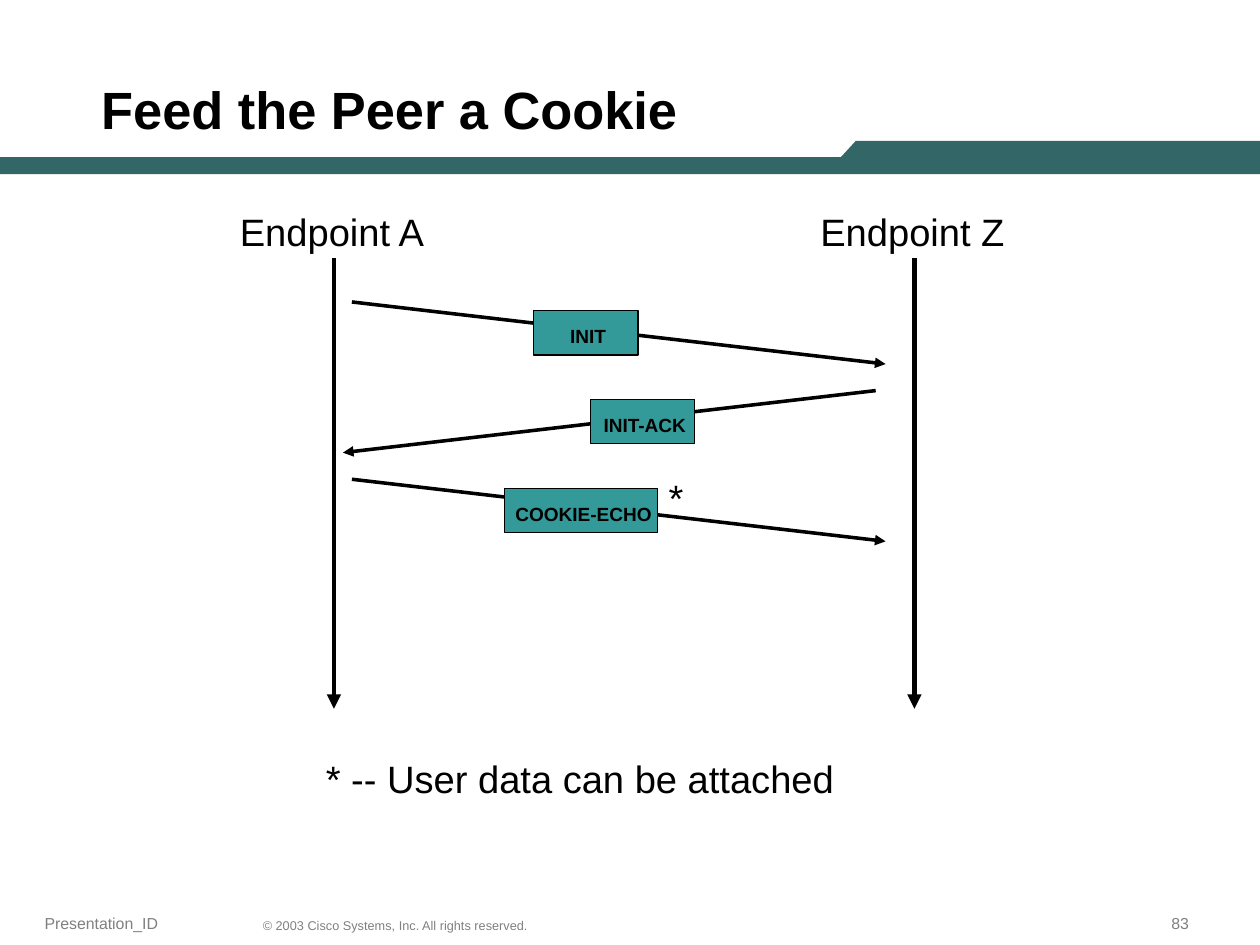
from lxml.etree import SubElement
from pptx import Presentation
from pptx.dml.color import RGBColor
from pptx.enum.shapes import MSO_CONNECTOR as CONNECTOR, MSO_SHAPE as SHAPE
from pptx.enum.text import MSO_ANCHOR as ANCHOR, PP_ALIGN as ALIGN
from pptx.oxml.ns import qn
from pptx.util import Cm, Pt

WIDTH, HEIGHT = 28, 21
BLACK, GREY, BAND, PACKET = "000000", "808080", "336666", "339999"
A_X, Z_X = 7.42, 20.32
FIRST_MESSAGE, MESSAGE_STEP, MESSAGE_DROP = 6.71, 1.97, 1.38
# label, left and width of the packet, whether it goes from A to Z
MESSAGES = [
    ("INIT", 11.86, 2.32, True),
    ("INIT-ACK", 13.12, 2.32, False),
    ("COOKIE-ECHO", 11.22, 3.4, True),
]


def rgb(value):
    return RGBColor.from_string(value)


def format_text(frame, text, size=24, color=BLACK, bold=False, anchor=ANCHOR.TOP,
                align=ALIGN.LEFT, spacing=0.98, insets=(0.25, 0.13, 0.25, 0.13)):
    """Fill a text frame; insets run left, top, right, bottom in cm."""
    frame.word_wrap = True
    frame.vertical_anchor = anchor
    (frame.margin_left, frame.margin_top,
     frame.margin_right, frame.margin_bottom) = map(Cm, insets)
    line = frame.paragraphs[0]
    line.text = text
    line.alignment = align
    line.line_spacing = spacing
    font = line.runs[0].font
    font.name, font.size, font.bold = "Arial", Pt(size), bold
    font.color.rgb = rgb(color)


def add_text(slide, text, left, top, width, height, **style):
    box = slide.shapes.add_textbox(Cm(left), Cm(top), Cm(width), Cm(height))
    format_text(box.text_frame, text, **style)


def add_arrow(slide, x1, y1, x2, y2, weight):
    arrow = slide.shapes.add_connector(
        CONNECTOR.STRAIGHT, Cm(x1), Cm(y1), Cm(x2), Cm(y2))
    arrow.line.color.rgb = rgb(BLACK)
    arrow.line.width = Pt(weight)
    SubElement(arrow.line._get_or_add_ln(), qn("a:tailEnd"), type="triangle")
    SubElement(arrow._element.spPr, qn("a:effectLst"))


def add_header(slide, top, bottom):
    """Title above a band whose right part steps up."""
    low = top + 0.36
    builder = slide.shapes.build_freeform(0, Cm(bottom))
    builder.add_line_segments([
        (Cm(x), Cm(y)) for x, y in
        [(0, low), (18.69, low), (19.02, top), (WIDTH, top), (WIDTH, bottom)]])
    band = builder.convert_to_shape()
    band.shadow.inherit = False
    band.fill.solid()
    band.fill.fore_color.rgb = rgb(BAND)
    band.line.fill.background()
    add_text(slide, "Feed the Peer a Cookie", 2, top - 2.44, 24.94, 2.56,
             size=33, bold=True, anchor=ANCHOR.BOTTOM, spacing=0.9)


def add_endpoint(slide, name, x, top, bottom):
    add_text(slide, name, x - 2.34, top, 5, 1.27)
    add_arrow(slide, x, top + 1.19, x, bottom, 3)


def add_message(slide, label, left, width, forward, top):
    """Slanted arrow between the endpoints with its packet on it."""
    start, end = (A_X + 0.4, Z_X - 0.64) if forward else (Z_X - 0.86, A_X + 0.2)
    add_arrow(slide, start, top, end, top + MESSAGE_DROP, 2.25)
    packet = slide.shapes.add_shape(
        SHAPE.RECTANGLE, Cm(left), Cm(top + 0.2), Cm(width), Cm(0.98))
    packet.shadow.inherit = False
    packet.fill.solid()
    packet.fill.fore_color.rgb = rgb(PACKET)
    packet.line.color.rgb = rgb(BLACK)
    packet.line.width = Pt(0.75)
    format_text(packet.text_frame, label, size=12, bold=True, anchor=ANCHOR.MIDDLE,
                align=ALIGN.CENTER, insets=(0.1, 0.18, 0, 0))


def add_exchange(slide, top, bottom):
    for name, x in (("Endpoint A", A_X), ("Endpoint Z", Z_X)):
        add_endpoint(slide, name, x, top, bottom)
    for row, message in enumerate(MESSAGES):
        add_message(slide, *message, top=FIRST_MESSAGE + row * MESSAGE_STEP)
    add_text(slide, "*", 14.61, 10.46, 1, 1.27)
    add_text(slide, "* -- User data can be attached", 6.99, bottom + 0.96, 12.5, 1.27)


def add_footer(slide, bottom):
    height = 0.8
    for text, left, width, size in (
            ("Presentation_ID", 0.74, 4, 10),
            ("© 2003 Cisco Systems, Inc. All rights reserved.", 5.59, 7, 8),
            ("83", 25.78, 2.1, 10)):
        add_text(slide, text, left, bottom - height, width, height,
                 size=size, color=GREY, anchor=ANCHOR.BOTTOM)


def main():
    deck = Presentation()
    deck.slide_width, deck.slide_height = Cm(WIDTH), Cm(HEIGHT)
    slide = deck.slides.add_slide(deck.slide_layouts[6])
    add_header(slide, 3.13, 3.87)
    add_exchange(slide, 4.55, 15.75)
    add_footer(slide, 20.88)
    deck.save("out.pptx")


if __name__ == "__main__":
    main()
